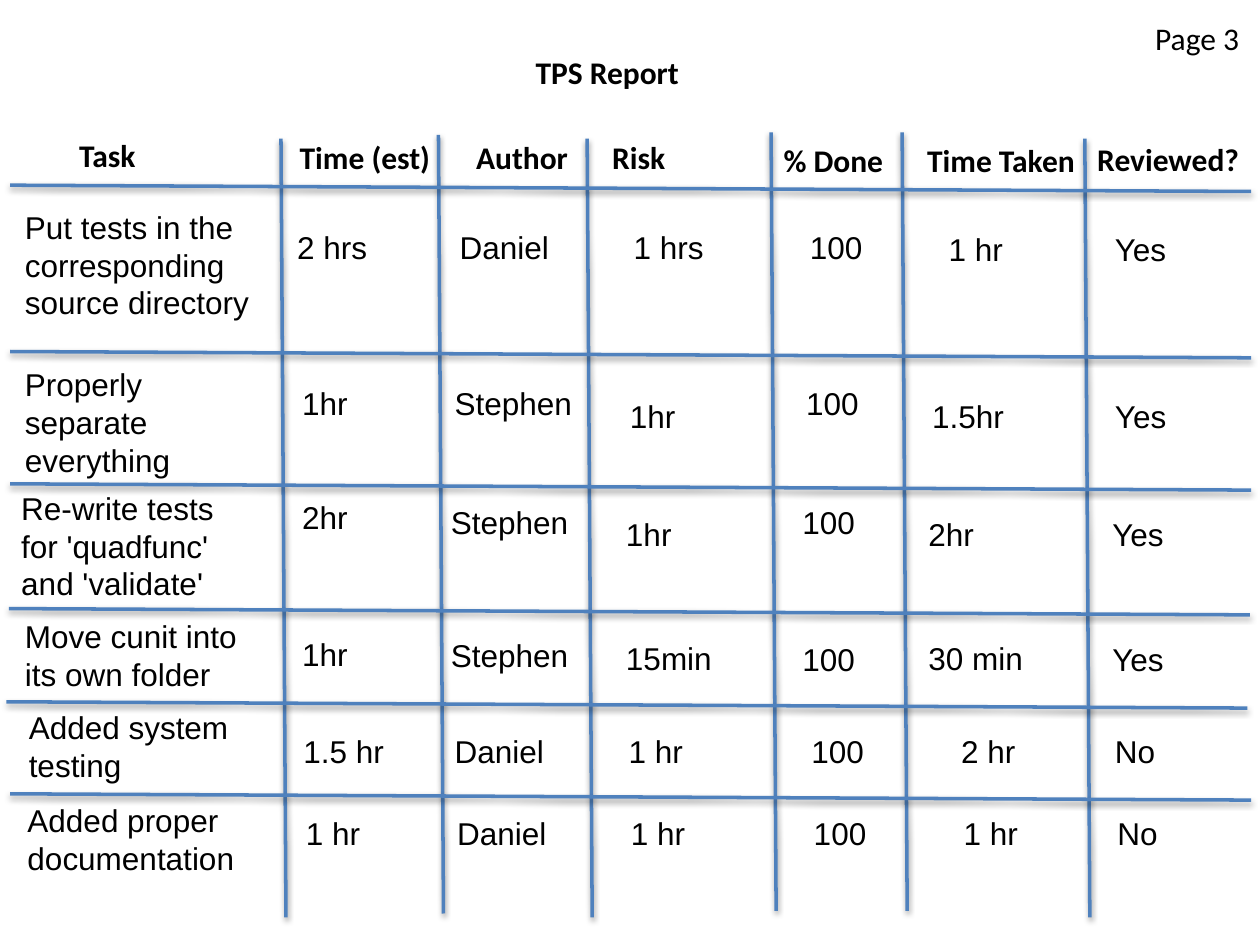
from lxml import etree
from pptx import Presentation
from pptx import util as u
from pptx.dml import color
from pptx.enum import shapes, text
from pptx.oxml import ns

BLACK, BLUE = "000000", "4F81BD"

HEADER_WIDTH = 1.52
HEADERS = [("Task", 0.53, 1.03), ("Time (est)", 2.28, 1.05), ("Author", 3.68, 1.05),
           ("Risk", 4.76, 1.05), ("% Done", 6.12, 1.07), ("Time Taken", 7.26, 1.07),
           ("Reviewed?", 8.61, 1.06)]

# Start points; every rule of one direction has the same run and slight tilt.
COLUMN_RULES = [(2.23, 1.1), (3.48, 1.07), (7.16, 1.05), (6.12, 1.05), (8.61, 1.1), (4.66, 1.1)]
ROW_RULES = [(0.08, 1.47), (0.08, 2.79), (0.08, 3.84), (0.07, 4.83), (0.05, 5.57), (0.08, 6.3)]
COLUMN_RUN = (0.04, 6.18)
ROW_RUN = (9.85, 0.05)

LOWER_LEFTS = [2.3, 3.48, 4.87, 6.27, 7.27, 8.73]
LOWER_WIDTHS = [1, 1.15, 1, 0.86, 1, 1.05]

# Each row: task (text, left, top, width), then values, lefts, tops, widths.
WRAPPED_ROWS = [
    (("Put tests in the corresponding source directory", 0.1, 1.6, 2.2),
     ["2 hrs", "Daniel", "1 hrs", "100", "1 hr", "Yes"],
     [2.26, 3.55, 4.93, 6.33, 7.43, 8.75],
     [1.76, 1.76, 1.76, 1.76, 1.78, 1.78],
     [1.05, 0.96, 1, 1.1, 1.1, 0.9]),
    (("Properly separate everything", 0.1, 2.85, 1.9),
     ["1hr", "Stephen", "1hr", "100", "1.5hr", "Yes"],
     [2.3, 3.51, 4.9, 6.3, 7.3, 8.75],
     [3, 3, 3.1, 3, 3.1, 3.1],
     [1.1, 1.15, 1, 0.86, 1, 1.05]),
    (("Re-write tests for 'quadfunc' and 'validate'", 0.07, 3.83, 2.02),
     ["2hr", "Stephen", "1hr", "100", "2hr", "Yes"],
     LOWER_LEFTS, [3.9, 3.94, 4.04, 3.94, 4.04, 4.04], LOWER_WIDTHS),
    (("Move cunit into its own folder", 0.1, 4.85, 2),
     ["1hr", "Stephen", "15min", "100", "30 min", "Yes"],
     LOWER_LEFTS, [4.99, 5, 5.02, 5.03, 5.02, 5.03], LOWER_WIDTHS),
]

# Each row: task (text, left, top, width), values, top, shift to the right.
FITTED_ROWS = [
    (("Added system\ntesting", 0.13, 5.57, 1.82),
     ["1.5 hr", "Daniel", "1 hr", "100", "2 hr", "No"], 5.76, 0),
    (("Added proper\ndocumentation", 0.12, 6.31, 1.87),
     ["1 hr", "Daniel", "1 hr", "100", "1 hr", "No"], 6.41, 0.02),
]
FITTED_LEFTS = [2.31, 3.51, 4.89, 6.34, 7.53, 8.75]
FITTED_WIDTHS = {"1.5 hr": 0.85, "Daniel": 0.92, "1 hr": 0.64, "2 hr": 0.64,
                 "100": 0.62, "No": 0.52}


def rgb(value):
    return color.RGBColor.from_string(value)


class ReportSlide:
    """Holds the slide and the shared text and rule style."""
    size = u.Pt(18)
    heading_font, body_font = "Calibri", "Arial"

    def __init__(self, deck):
        self.slide = deck.slides.add_slide(deck.slide_layouts[5])

    def fill_text(self, box, words, font, bold=False, wrap=True, grow=False):
        frame = box.text_frame
        frame.text = words
        frame.word_wrap = wrap
        frame.vertical_anchor = text.MSO_ANCHOR.TOP
        fit = text.MSO_AUTO_SIZE
        frame.auto_size = fit.SHAPE_TO_FIT_TEXT if grow else fit.NONE
        for para in frame.paragraphs:
            para.alignment = text.PP_ALIGN.LEFT
            for span in para.runs:
                span.font.name = font
                span.font.size = self.size
                span.font.bold = bold
                span.font.color.rgb = rgb(BLACK)

    def title(self, words, left, top, width, height):
        box = self.slide.shapes.title
        box.left, box.top = u.Inches(left), u.Inches(top)
        box.width, box.height = u.Inches(width), u.Inches(height)
        self.fill_text(box, words, self.heading_font, bold=True)

    def label(self, words, left, top, width, height, font=body_font, **style):
        box = self.slide.shapes.add_textbox(
            u.Inches(left), u.Inches(top), u.Inches(width), u.Inches(height))
        self.fill_text(box, words, font, **style)

    def rule(self, start, run):
        (x, y), (dx, dy) = start, run
        line = self.slide.shapes.add_connector(
            shapes.MSO_CONNECTOR.STRAIGHT,
            u.Inches(x), u.Inches(y), u.Inches(x + dx), u.Inches(y + dy))
        line.line.color.rgb = rgb(BLUE)
        line.line.width = u.Pt(2)
        self.add_shadow(line)

    def add_shadow(self, line):
        effects = etree.SubElement(line._element.spPr, ns.qn("a:effectLst"))
        shadow = etree.SubElement(
            effects, ns.qn("a:outerShdw"), blurRad=str(u.Pt(3.1)), dist=str(u.Pt(1.6)),
            dir="5400000", rotWithShape="0")
        tint = etree.SubElement(shadow, ns.qn("a:srgbClr"), val=BLACK)
        etree.SubElement(tint, ns.qn("a:alpha"), val="38000")


def main():
    deck = Presentation()
    deck.slide_width, deck.slide_height = u.Inches(10), u.Inches(7.5)
    report = ReportSlide(deck)

    report.title("TPS Report", 4.15, 0.37, 1.37, 0.4)
    for start in COLUMN_RULES:
        report.rule(start, COLUMN_RUN)
    for start in ROW_RULES:
        report.rule(start, ROW_RUN)
    for words, left, top in HEADERS:
        report.label(words, left, top, HEADER_WIDTH, 0.4, report.heading_font, bold=True)
    report.label("Page 3", 9.07, 0.1, 0.86, 0.4, report.heading_font, wrap=False)

    for task, values, lefts, tops, widths in WRAPPED_ROWS:
        report.label(*task, 0.94)
        for words, left, top, width in zip(values, lefts, tops, widths):
            report.label(words, left, top, width, 0.66 if words == "Stephen" else 0.38)

    for task, values, top, shift in FITTED_ROWS:
        report.label(*task, 0.71, wrap=False, grow=True)
        for words, left in zip(values, FITTED_LEFTS):
            report.label(words, left + shift, top, FITTED_WIDTHS[words], 0.4,
                         wrap=False, grow=True)

    deck.save("out.pptx")


if __name__ == "__main__":
    main()
